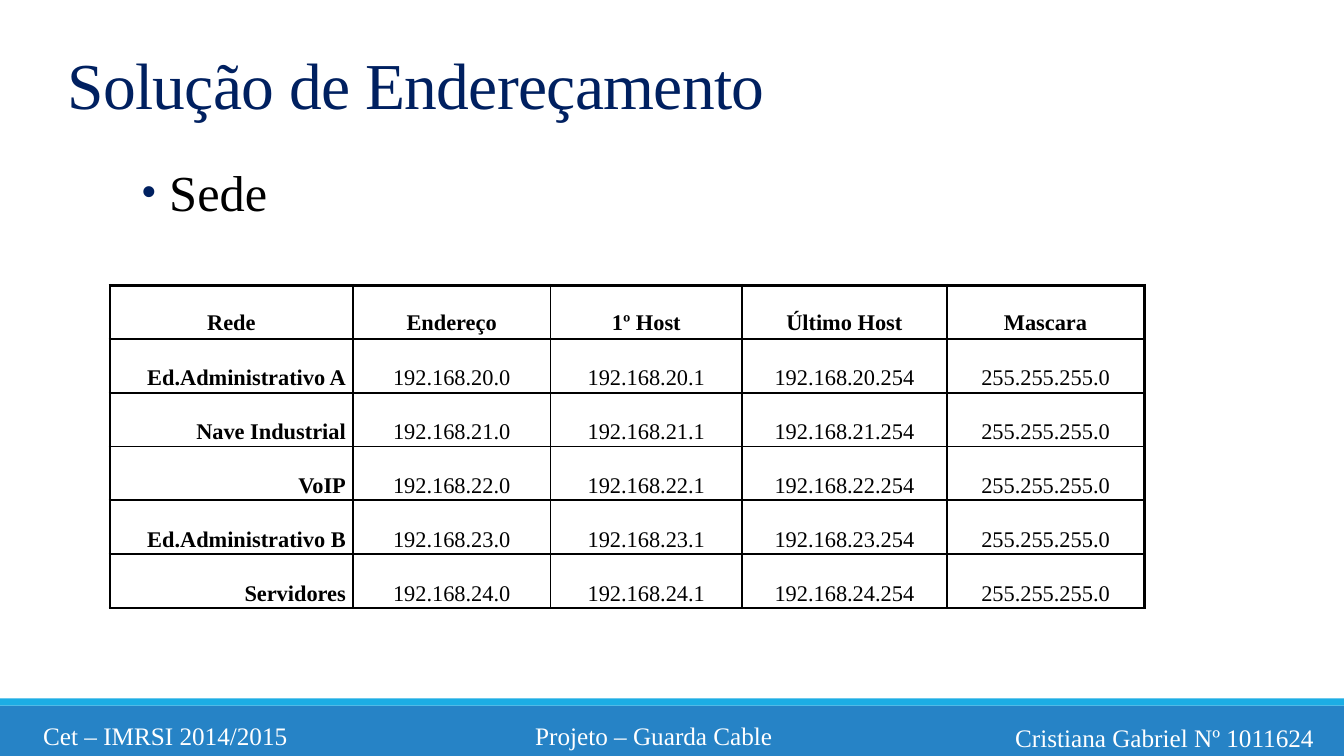
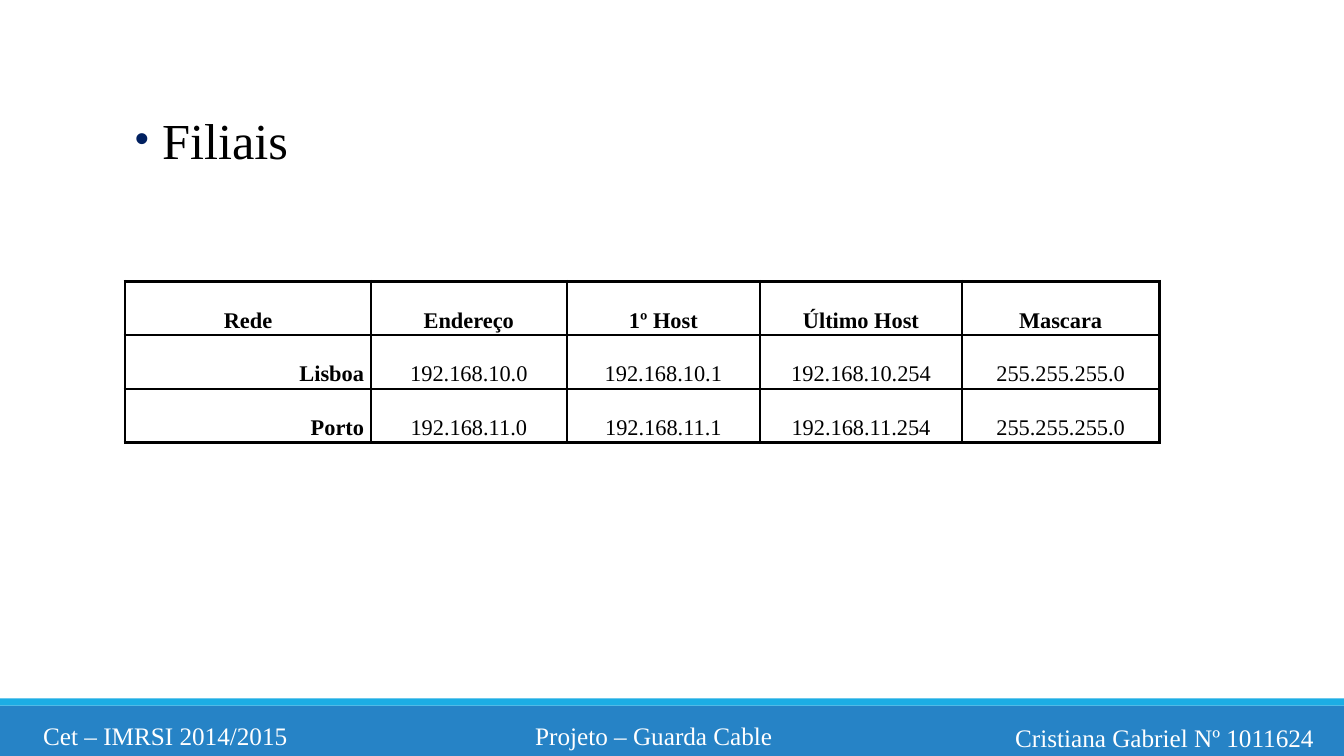
from dataclasses import dataclass

import pptx
import pptx.dml.color
import pptx.enum.shapes
import pptx.enum.text
import pptx.oxml
import pptx.oxml.ns
import pptx.util

Inches = pptx.util.Inches
Pt = pptx.util.Pt
ALIGN = pptx.enum.text.PP_ALIGN
ANCHOR = pptx.enum.text.MSO_ANCHOR
TITLE_ONLY, BLANK = 5, 6


@dataclass(frozen=True)
class Theme:
    font: str = "Times New Roman"
    navy: str = "002060"
    black: str = "000000"
    white: str = "FFFFFF"
    band: str = "2683C6"
    stripe: str = "1CADE4"
    title_size: float = 46.8
    topic_size: float = 36
    footer_size: float = 18
    table_size: float = 16
    outer_border: float = 2.25
    inner_border: float = 1.5


THEME = Theme()
SLIDE_WIDTH, SLIDE_HEIGHT = 13.33, 7.5
FOOTERS = [
    ("Cet – IMRSI 2014/2015", 0.33, 6.95, 2.7),
    ("Projeto – Guarda Cable", 5.21, 6.95, 2.7),
    ("Cristiana Gabriel Nº 1011624", 9.97, 6.97, 3.2),
]
HEADINGS = ["Rede", "Endereço", "1º Host", "Último Host", "Mascara"]
HEADQUARTERS = [
    ("Ed.Administrativo A", 20),
    ("Nave Industrial", 21),
    ("VoIP", 22),
    ("Ed.Administrativo B", 23),
    ("Servidores", 24),
]
BRANCHES = [("Lisboa", 10), ("Porto", 11)]
ROW_HEIGHT = 1.6 / 3


def rgb(colour):
    return pptx.dml.color.RGBColor.from_string(colour)


def write(frame, text, *, size, colour=THEME.black, bold=False,
          align=ALIGN.LEFT, line_spacing=1.0, tracking=0):
    """Fill a text frame with one formatted paragraph and return it."""
    frame.word_wrap = True
    paragraph = frame.paragraphs[0]
    paragraph.alignment = align
    paragraph.line_spacing = line_spacing
    run = paragraph.add_run()
    run.text = text
    run.font.name = THEME.font
    run.font.size = Pt(size)
    run.font.bold = bold
    run.font.color.rgb = rgb(colour)
    if tracking:
        run.font._element.set("spc", str(round(tracking * 100)))
    return paragraph


def add_text(slide, text, left, top, width, height, **style):
    box = slide.shapes.add_textbox(
        Inches(left), Inches(top), Inches(width), Inches(height))
    return write(box.text_frame, text, **style)


def add_band(slide, top, height, colour):
    band = slide.shapes.add_shape(
        pptx.enum.shapes.MSO_SHAPE.RECTANGLE,
        0, Inches(top), Inches(SLIDE_WIDTH), Inches(height))
    band.shadow.inherit = False
    band.fill.solid()
    band.fill.fore_color.rgb = rgb(colour)
    band.line.fill.background()


def add_footer(slide):
    add_band(slide, 7, 0.5, THEME.band)
    add_band(slide, 6.93, 0.07, THEME.stripe)
    for text, left, top, width in FOOTERS:
        add_text(slide, text, left, top, width, 0.5, size=THEME.footer_size,
                 colour=THEME.white, align=ALIGN.JUSTIFY, line_spacing=1.5)


def add_title(slide, text):
    title = slide.shapes.title
    title.left, title.top = Inches(0.57), Inches(0.54)
    title.width, title.height = Inches(8.17), Inches(0.74)
    title.text_frame.vertical_anchor = ANCHOR.MIDDLE
    write(title.text_frame, text, size=THEME.title_size, colour=THEME.navy,
          line_spacing=0.75, tracking=-0.5)


def add_topic(slide, text, left, top):
    """Add a large bulleted line that names the table below it."""
    paragraph = add_text(slide, text, left, top, 2.19, 0.71,
                         size=THEME.topic_size)
    paragraph.space_before = Pt(4)
    properties = paragraph._p.get_or_add_pPr()
    hanging = Inches(0.27)
    properties.set("marL", str(hanging))
    properties.set("indent", str(-hanging))
    namespace = pptx.oxml.ns.nsdecls("a")
    for bullet in (
        f'<a:buClr {namespace}><a:srgbClr val="{THEME.navy}"/></a:buClr>',
        f'<a:buSzPct {namespace} val="80000"/>',
        f'<a:buFont {namespace} typeface="Arial"/>',
        f'<a:buChar {namespace} char="•"/>',
    ):
        properties.append(pptx.oxml.parse_xml(bullet))


def set_borders(cell, **widths):
    """Draw the cell's edges, given as L, R, T and B in points."""
    properties = cell._tc.get_or_add_tcPr()
    for edge, width in widths.items():
        properties.append(pptx.oxml.parse_xml(
            f'<a:ln{edge} {pptx.oxml.ns.nsdecls("a")} w="{Pt(width)}">'
            f'<a:solidFill><a:srgbClr val="{THEME.black}"/></a:solidFill>'
            f'</a:ln{edge}>'))


def network_row(name, subnet):
    prefix = f"192.168.{subnet}"
    return [name, f"{prefix}.0", f"{prefix}.1", f"{prefix}.254",
            "255.255.255.0"]


def add_network_table(slide, networks, left, top, column_widths,
                      heading_anchor=ANCHOR.MIDDLE):
    rows = [HEADINGS] + [network_row(*network) for network in networks]
    last_row, last_column = len(rows) - 1, len(HEADINGS) - 1
    table = slide.shapes.add_table(
        len(rows), len(HEADINGS), Inches(left), Inches(top),
        Inches(sum(column_widths)), Inches(ROW_HEIGHT * len(rows))).table
    table.first_row = table.horz_banding = False
    for column, width in zip(table.columns, column_widths):
        column.width = Inches(width)

    def border(on_outside):
        return THEME.outer_border if on_outside else THEME.inner_border

    for r, values in enumerate(rows):
        for c, value in enumerate(values):
            cell = table.cell(r, c)
            cell.margin_left = cell.margin_right = Inches(0.07)
            cell.margin_top = cell.margin_bottom = 0
            cell.vertical_anchor = heading_anchor if r == 0 else ANCHOR.MIDDLE
            set_borders(cell, L=border(c == 0), R=border(c == last_column),
                        T=border(r == 0), B=border(r == last_row))
            cell.fill.background()
            is_name = r > 0 and c == 0
            write(cell.text_frame, value, size=THEME.table_size,
                  bold=r == 0 or is_name, line_spacing=2.0,
                  align=ALIGN.RIGHT if is_name else ALIGN.CENTER)


def add_slide(deck, layout):
    slide = deck.slides.add_slide(deck.slide_layouts[layout])
    add_footer(slide)
    return slide


def main():
    deck = pptx.Presentation()
    deck.slide_width = Inches(SLIDE_WIDTH)
    deck.slide_height = Inches(SLIDE_HEIGHT)

    headquarters = add_slide(deck, TITLE_ONLY)
    add_title(headquarters, "Solução de Endereçamento")
    add_topic(headquarters, "Sede", 1.31, 1.55)
    add_network_table(headquarters, HEADQUARTERS, 1.09, 2.83,
                      [2.41, 1.96, 1.9, 2.03, 1.96],
                      heading_anchor=ANCHOR.TOP)

    branches = add_slide(deck, BLANK)
    add_topic(branches, "Filiais", 1.24, 1.03)
    add_network_table(branches, BRANCHES, 1.24, 2.79,
                      [2.44, 1.94, 1.92, 2, 1.96])

    deck.save("out.pptx")


if __name__ == "__main__":
    main()
